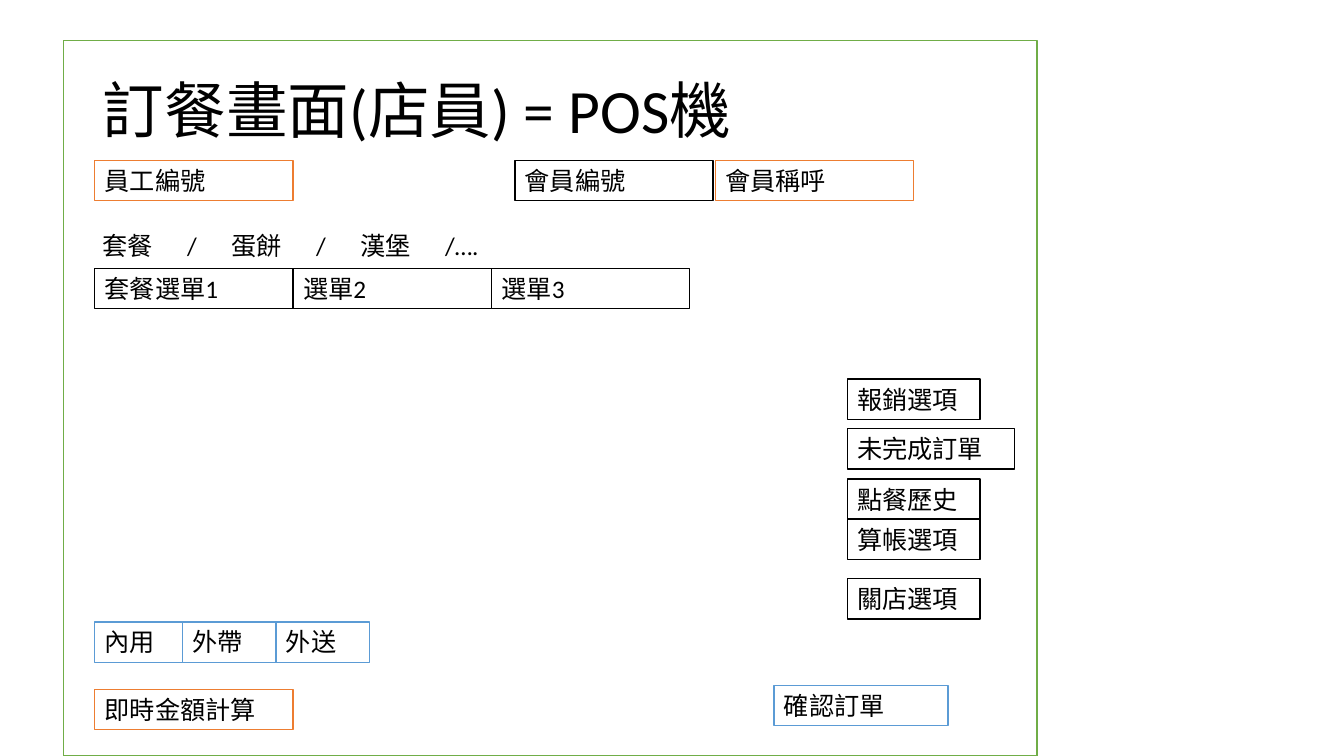
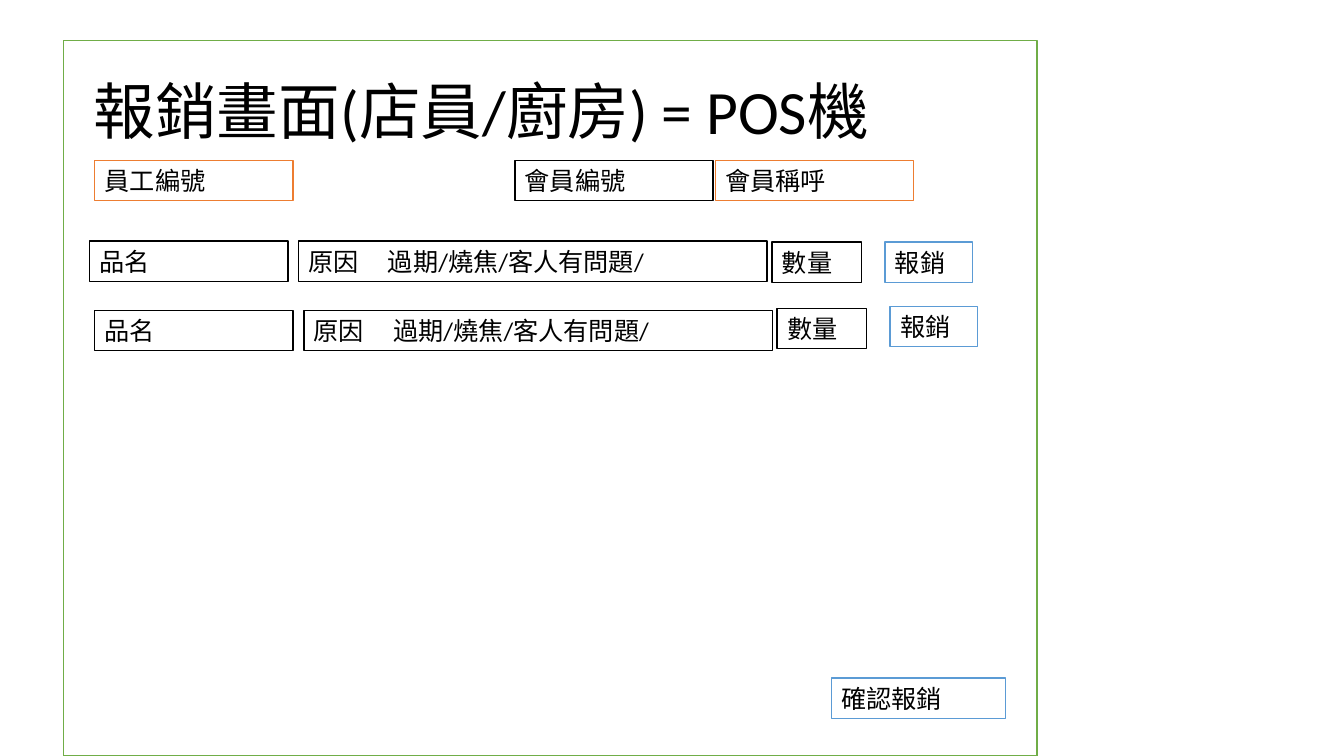
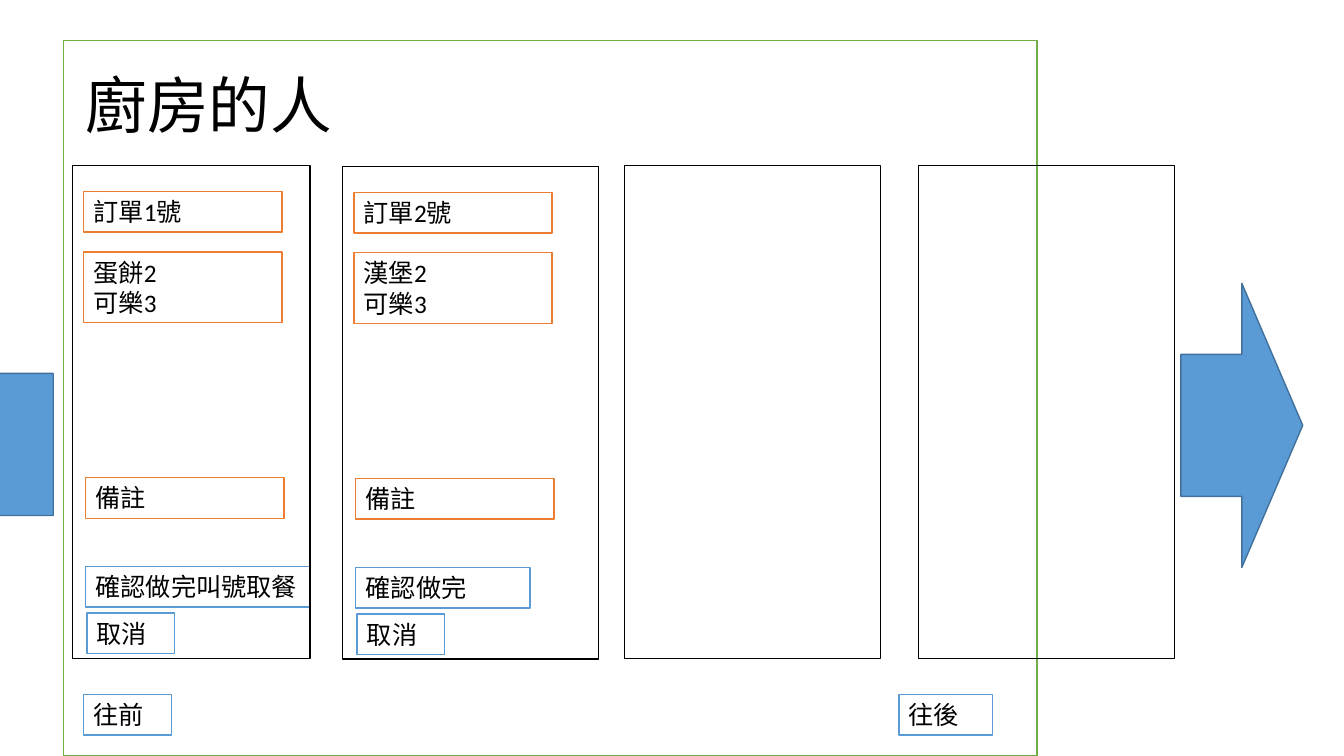
from pptx import Presentation
from pptx.dml.color import RGBColor
from pptx.enum import shapes, text
from pptx.oxml.ns import qn
from pptx.util import Cm, Pt
from lxml import etree

# Shared style
BLACK = RGBColor(0x00, 0x00, 0x00)
WHITE = RGBColor(0xFF, 0xFF, 0xFF)
GREEN = RGBColor(0x70, 0xAD, 0x47)
ORANGE = RGBColor(0xED, 0x7D, 0x31)
BLUE = RGBColor(0x5B, 0x9B, 0xD5)
DARK_BLUE = RGBColor(0x41, 0x71, 0x9C)
FONT = "Calibri"
BOX_H = 1.02
FIELD_W = 5.0
BUTTON_W = 2.21
WIDE_BUTTON_W = 4.39
LEFT = 2.39
CARD_H = 12.42


def set_font(p, size):
    p.font.name = FONT
    p.font.size = Pt(size)
    p.font.color.rgb = BLACK


def add_tabs(p, stops):
    tabs = etree.SubElement(p._p.get_or_add_pPr(), qn("a:tabLst"))
    for stop in stops:
        etree.SubElement(tabs, qn("a:tab"), pos=str(Cm(stop)), algn="l")


def add_box(s, x, y, w, label, line=BLACK, h=BOX_H, tabs=()):
    """White labelled box; line=None leaves out the border."""
    sp = s.shapes.add_textbox(Cm(x), Cm(y), Cm(w), Cm(h))
    sp.fill.solid()
    sp.fill.fore_color.rgb = WHITE
    if line is not None:
        sp.line.color.rgb = line
        sp.line.width = Pt(1)
    tf = sp.text_frame
    tf.word_wrap = True
    tf.auto_size = text.MSO_AUTO_SIZE.SHAPE_TO_FIT_TEXT
    tf.text = label
    for p in tf.paragraphs:
        if tabs:
            add_tabs(p, tabs)
        set_font(p, 18)


def add_outline(s, x, y, w, h, color):
    sp = s.shapes.add_shape(shapes.MSO_SHAPE.RECTANGLE, Cm(x), Cm(y), Cm(w), Cm(h))
    sp.shadow.inherit = False
    sp.fill.background()
    sp.line.color.rgb = color
    sp.line.width = Pt(1)


def add_arrow(s, x, y, rotation=0):
    sp = s.shapes.add_shape(shapes.MSO_SHAPE.RIGHT_ARROW, Cm(x), Cm(y), Cm(3.07), Cm(7.16))
    sp.shadow.inherit = False
    sp.rotation = rotation
    sp.fill.solid()
    sp.fill.fore_color.rgb = BLUE
    sp.line.color.rgb = DARK_BLUE
    sp.line.width = Pt(1)


def add_screen(prs, title, x, y):
    """Slide with a title and the green screen frame."""
    s = prs.slides.add_slide(prs.slide_layouts[5])
    sp = s.shapes.title
    sp.left, sp.top, sp.width, sp.height = Cm(x), Cm(y), Cm(29.21), Cm(3.68)
    tf = sp.text_frame
    tf.text = title
    tf.word_wrap = True
    tf.auto_size = text.MSO_AUTO_SIZE.NONE
    tf.vertical_anchor = text.MSO_ANCHOR.MIDDLE
    p = tf.paragraphs[0]
    p.alignment = text.PP_ALIGN.LEFT
    p.line_spacing = 0.9
    set_font(p, 44)
    add_outline(s, 1.6, 1.02, 24.54, 18.03, GREEN)
    return s


def add_people(s):
    """Staff and member fields at the top of a till screen."""
    for x, label, line in ((LEFT, "員工編號", ORANGE),
                           (12.98, "會員編號", BLACK),
                           (18.03, "會員稱呼", ORANGE)):
        add_box(s, x, 4.04, FIELD_W, label, line)


def add_waste_row(s, x, name_y, count_y, button_y):
    add_box(s, x, name_y, FIELD_W, "品名")
    add_box(s, x + 5.27, name_y, 11.81, "原因\t過期/燒焦/客人有問題/", tabs=[2.0])
    add_box(s, x + 17.2, count_y, 2.26, "數量")
    add_box(s, x + 20.05, button_y, BUTTON_W, "報銷", BLUE)


def add_order_card(s, x, y, w, number, items, confirm, confirm_w):
    add_box(s, x + 0.28, y + 0.66, FIELD_W, number, ORANGE)
    add_box(s, x + 0.28, y + 2.18, FIELD_W, items, ORANGE, h=1.78)
    add_box(s, x + 0.33, y + 7.87, FIELD_W, "備註", ORANGE)
    add_box(s, x + 0.33, y + 10.11, confirm_w, confirm, BLUE)
    add_box(s, x + 0.36, y + 11.28, BUTTON_W, "取消", BLUE)
    add_outline(s, x, y, w, CARD_H, BLACK)


def build_order_screen(prs):
    s = add_screen(prs, "訂餐畫面(店員) = POS機", 2.34, 1.02)
    add_people(s)

    # Menu categories and items
    add_box(s, 2.34, 5.69, 16.94, "套餐\t/\t蛋餅\t/\t漢堡\t/….", None,
            tabs=[2.13, 3.25, 5.38, 6.5, 8.63])
    for i, label in enumerate(("套餐選單1", "選單2", "選單3")):
        add_box(s, LEFT + i * FIELD_W, 6.76, FIELD_W, label)

    # Side options
    for y, w, label in ((9.55, 3.35, "報銷選項"), (10.8, 4.22, "未完成訂單"),
                        (12.07, 3.35, "點餐歷史"), (13.08, 3.35, "算帳選項"),
                        (14.58, 3.35, "關店選項")):
        add_box(s, 21.36, y, w, label)

    # Service type, total and confirmation
    for x, w, label in ((LEFT, BUTTON_W, "內用"), (4.6, 2.36, "外帶"), (6.96, 2.36, "外送")):
        add_box(s, x, 15.67, w, label, BLUE)
    add_box(s, LEFT, 17.37, FIELD_W, "即時金額計算", ORANGE)
    add_box(s, 19.51, 17.27, WIDE_BUTTON_W, "確認訂單", BLUE)


def build_waste_screen(prs):
    s = add_screen(prs, "報銷畫面(店員/廚房) = POS機", 2.11, 1.04)
    add_people(s)
    add_waste_row(s, 2.26, 6.07, 6.1, 6.1)
    add_waste_row(s, LEFT, 7.82, 7.77, 7.72)
    add_box(s, 20.96, 17.09, WIDE_BUTTON_W, "確認報銷", BLUE)


def build_kitchen_screen(prs):
    s = add_screen(prs, "廚房的人", 1.9, 0.89)

    # Order cards, two filled and two empty
    add_order_card(s, 1.83, 4.17, 5.99, "訂單1號", "蛋餅2\n可樂3", "確認做完叫號取餐", 5.66)
    add_order_card(s, 8.64, 4.19, 6.45, "訂單2號", "漢堡2\n可樂3", "確認做完", WIDE_BUTTON_W)
    for x in (15.75, 23.16):
        add_outline(s, x, 4.17, 6.45, CARD_H, BLACK)

    # Paging
    add_box(s, 2.11, 17.5, BUTTON_W, "往前", BLUE)
    add_box(s, 22.66, 17.5, 2.36, "往後", BLUE)
    add_arrow(s, 29.77, 7.14)
    add_arrow(s, -1.73, 7.62, 180)


def main():
    prs = Presentation()
    prs.slide_width, prs.slide_height = Cm(33.88), Cm(19.05)
    build_order_screen(prs)
    build_waste_screen(prs)
    build_kitchen_screen(prs)
    prs.save("out.pptx")


if __name__ == "__main__":
    main()
